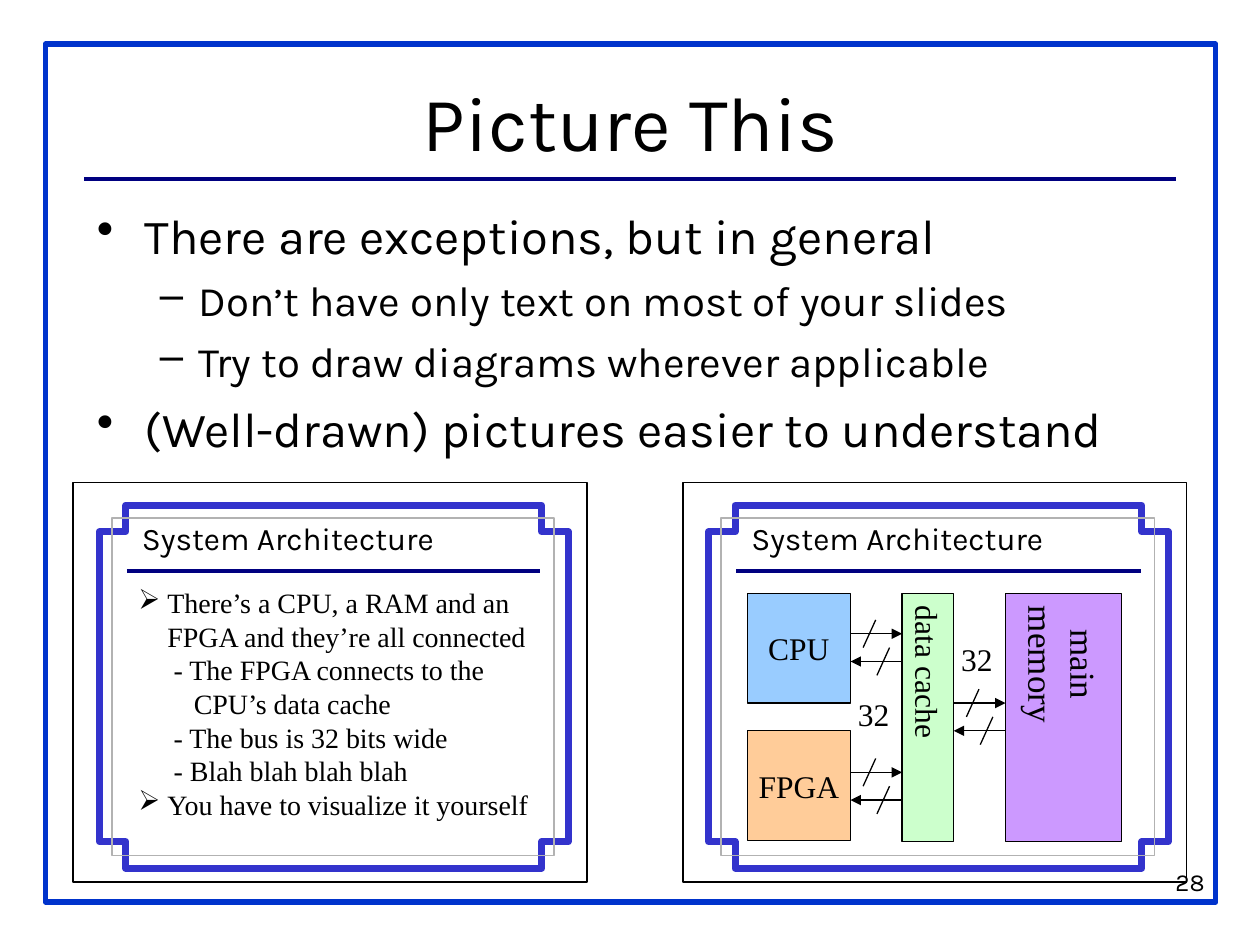
from lxml.etree import SubElement
from pptx import Presentation
from pptx.dml.color import RGBColor
from pptx.enum.shapes import MSO_CONNECTOR, MSO_SHAPE
from pptx.enum.text import MSO_ANCHOR, MSO_AUTO_SIZE, PP_ALIGN
from pptx.oxml.ns import qn
from pptx.util import Inches, Pt

SANS = "Karla"
SERIF = "Times New Roman"


def color(value):
    return RGBColor.from_string(value)


def indent(paragraph, left, hanging, bullet):
    properties = paragraph._p.get_or_add_pPr()
    properties.set("marL", str(Inches(left)))
    properties.set("indent", str(-Inches(hanging)))
    if bullet:
        SubElement(properties, qn("a:buChar")).set("char", bullet)


def write(paragraph, text, size=18, font=SANS, align=PP_ALIGN.LEFT,
          left=0, hanging=0, bullet=None, level=0, before=0):
    indent(paragraph, left, hanging, bullet)
    paragraph.level = level
    paragraph.alignment = align
    paragraph.space_before = Pt(before)
    run = paragraph.add_run()
    run.text = text
    run.font.size = Pt(size)
    run.font.name = font
    run.font.color.rgb = color("000000")


def write_lines(frame, lines, **style):
    for number, (text, line_style) in enumerate(lines):
        paragraph = frame.add_paragraph() if number else frame.paragraphs[0]
        write(paragraph, text, **{**style, **line_style})


def text_box(shapes, box, lines, wrap=True, **style):
    frame = shapes.add_textbox(*map(Inches, box)).text_frame
    frame.word_wrap = wrap
    write_lines(frame, lines, **style)


def paint(shape, line, weight, fill=None):
    shape.shadow.inherit = False
    if fill:
        shape.fill.solid()
        shape.fill.fore_color.rgb = color(fill)
    else:
        shape.fill.background()
    shape.line.color.rgb = color(line)
    shape.line.width = Pt(weight)


def rectangle(shapes, box, line="000000", weight=0.75, fill=None):
    shape = shapes.add_shape(MSO_SHAPE.RECTANGLE, *map(Inches, box))
    paint(shape, line, weight, fill)
    return shape


def line(shapes, start, end, stroke="000000", weight=0.75, arrow=False):
    connector = shapes.add_connector(MSO_CONNECTOR.STRAIGHT, *map(Inches, (*start, *end)))
    connector.line.color.rgb = color(stroke)
    connector.line.width = Pt(weight)
    if arrow:
        SubElement(connector.line._get_or_add_ln(), qn("a:tailEnd")).set("type", "triangle")
    SubElement(connector._element.spPr, qn("a:effectLst"))


def notched_frame(shapes, left, top, width, height, notch):
    right, bottom = left + width, top + height
    corners = [
        (left, top + notch), (left + notch, top + notch), (left + notch, top),
        (right - notch, top), (right - notch, top + notch), (right, top + notch),
        (right, bottom - notch), (right - notch, bottom - notch), (right - notch, bottom),
        (left + notch, bottom), (left + notch, bottom - notch), (left, bottom - notch),
    ]
    points = [(Inches(x), Inches(y)) for x, y in corners]
    builder = shapes.build_freeform(*points[0])
    builder.add_line_segments(points[1:], close=True)
    paint(builder.convert_to_shape(), "3333CC", 4)


def mini_slide(slide, left, width):
    shapes = slide.shapes.add_group_shape().shapes
    rectangle(shapes, (left, 3.83, width, 3.17), fill="FFFFFF")
    frame_left, frame_width = left + 0.051 * width, 0.912 * width
    notched_frame(shapes, frame_left, 4.01, frame_width, 2.88, 0.21)
    rectangle(shapes, (frame_left + 0.1, 4.11, frame_width - 0.21, 2.68), "B2B2B2", 1)
    line(shapes, (frame_left + 0.22, 4.53), (frame_left + frame_width - 0.22, 4.53), "000080", 2)
    text_box(shapes, (frame_left + 0.24, 4.07, 2.55, 0.4), [("System Architecture", {})], wrap=False)
    return shapes


def block(shapes, box, fill, labels, size=18, vertical=False):
    frame = rectangle(shapes, box, fill=fill).text_frame
    frame.word_wrap = False
    frame.vertical_anchor = MSO_ANCHOR.MIDDLE
    if vertical:
        frame._txBody.bodyPr.set("vert", "eaVert")
        frame.margin_left = frame.margin_right = Inches(0.05)
        frame.margin_top = frame.margin_bottom = Inches(0.1)
    write_lines(frame, [(label, {}) for label in labels],
                size=size, font=SERIF, align=PP_ALIGN.CENTER)


def bus(shapes, left, y):
    right, back_y = left + 0.41, y + 0.22
    line(shapes, (left, y), (right, y), arrow=True)
    line(shapes, (right, back_y), (left, back_y), arrow=True)
    for slash_x, slash_y in ((left + 0.2, y), (left + 0.31, back_y)):
        line(shapes, (slash_x, slash_y - 0.11), (slash_x - 0.1, slash_y + 0.11))


def heading(slide):
    title = slide.shapes.title
    title.left, title.top, title.width, title.height = map(Inches, (0.67, 0.33, 8.67, 1.25))
    title.text_frame.auto_size = MSO_AUTO_SIZE.NONE
    title.text_frame.vertical_anchor = MSO_ANCHOR.MIDDLE
    write_lines(title.text_frame, [("Picture This", {})], size=44, align=PP_ALIGN.CENTER)
    rectangle(slide.shapes, (0.36, 0.35, 9.29, 6.81), "0033CC", 3)
    line(slide.shapes, (0.67, 1.42), (9.33, 1.42), "000080", 2)


def advice(slide):
    point = dict(size=28, left=0.38, hanging=0.38, bullet="•")
    detail = dict(size=24, left=0.81, hanging=0.31, bullet="–", level=1, before=6)
    text_box(slide.shapes, (0.67, 1.58, 8.67, 2.25), [
        ("There are exceptions, but in general", point),
        ("Don’t have only text on most of your slides", detail),
        ("Try to draw diagrams wherever applicable", detail),
        ("(Well-drawn) pictures easier to understand", {**point, "before": 7}),
    ])


def wordy_example(slide):
    shapes = mini_slide(slide, 0.58, 4.08)
    point = dict(left=0.23, hanging=0.23, bullet="➢")
    detail = dict(left=0.28)
    text_box(shapes, (1, 4.6, 3.35, 1.97), [
        ("There’s a CPU, a RAM and an FPGA and they’re all connected", point),
        ("- The FPGA connects to the", detail),
        ("CPU’s data cache", dict(left=0.44)),
        ("- The bus is 32 bits wide", detail),
        ("- Blah blah blah blah", detail),
        ("You have to visualize it yourself", point),
    ], size=16, font=SERIF)


def diagram_example(slide):
    shapes = mini_slide(slide, 5.42, 4)
    block(shapes, (5.93, 4.71, 0.82, 0.87), "99CCFF", ["CPU"])
    block(shapes, (5.93, 5.8, 0.82, 0.87), "FFCC99", ["FPGA"])
    block(shapes, (7.16, 4.71, 0.41, 1.97), "CCFFCC", ["data cache"], vertical=True)
    block(shapes, (7.98, 4.71, 0.92, 1.97), "CC99FF", ["main", "memory"], size=20, vertical=True)
    for left, y in ((6.75, 5.03), (6.75, 6.13), (7.57, 5.58)):
        bus(shapes, left, y)
    for left, top in ((6.71, 5.47), (7.53, 5.03)):
        text_box(shapes, (left, top, 0.45, 0.4), [("32", {})], wrap=False, font=SERIF)


def main():
    presentation = Presentation()
    presentation.slide_width = Inches(10)
    presentation.slide_height = Inches(7.5)
    slide = presentation.slides.add_slide(presentation.slide_layouts[5])
    heading(slide)
    advice(slide)
    wordy_example(slide)
    diagram_example(slide)
    text_box(slide.shapes, (7.58, 6.83, 2.08, 0.5), [("28", {})], size=14, align=PP_ALIGN.RIGHT)
    presentation.save("out.pptx")


if __name__ == "__main__":
    main()
